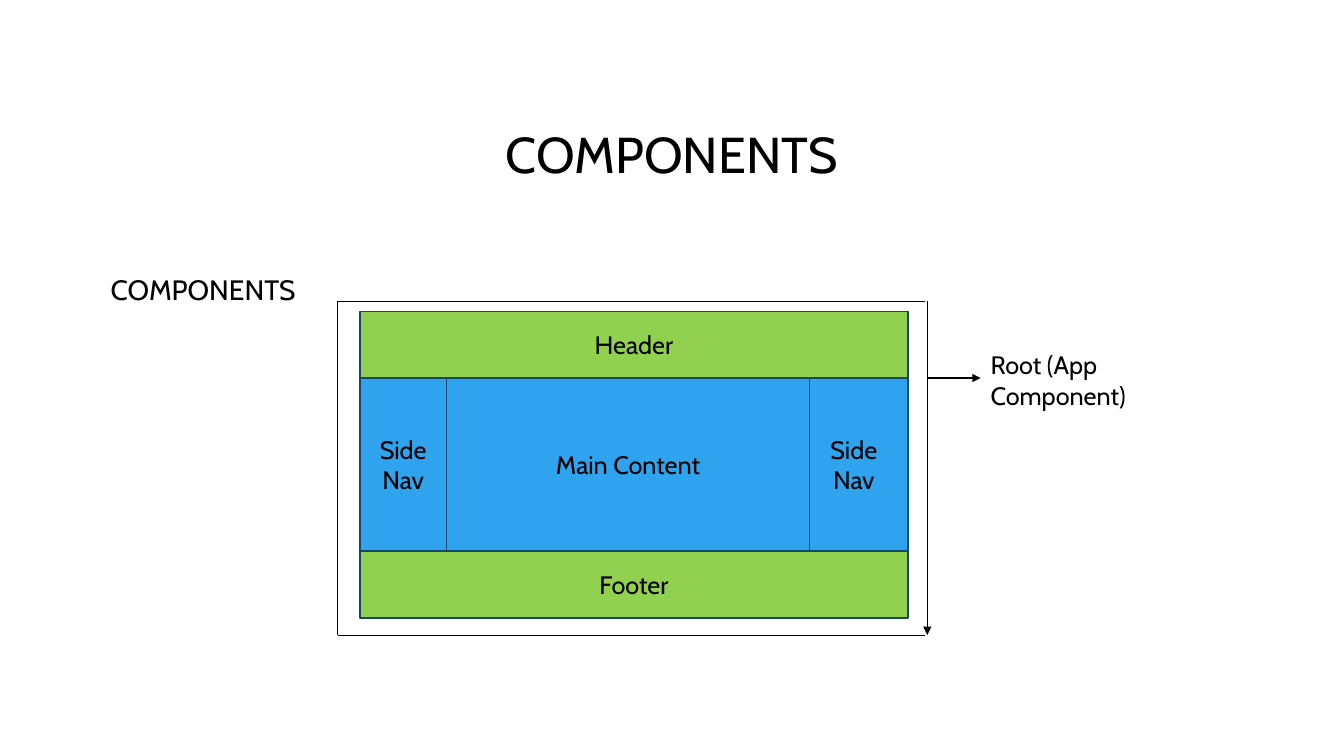
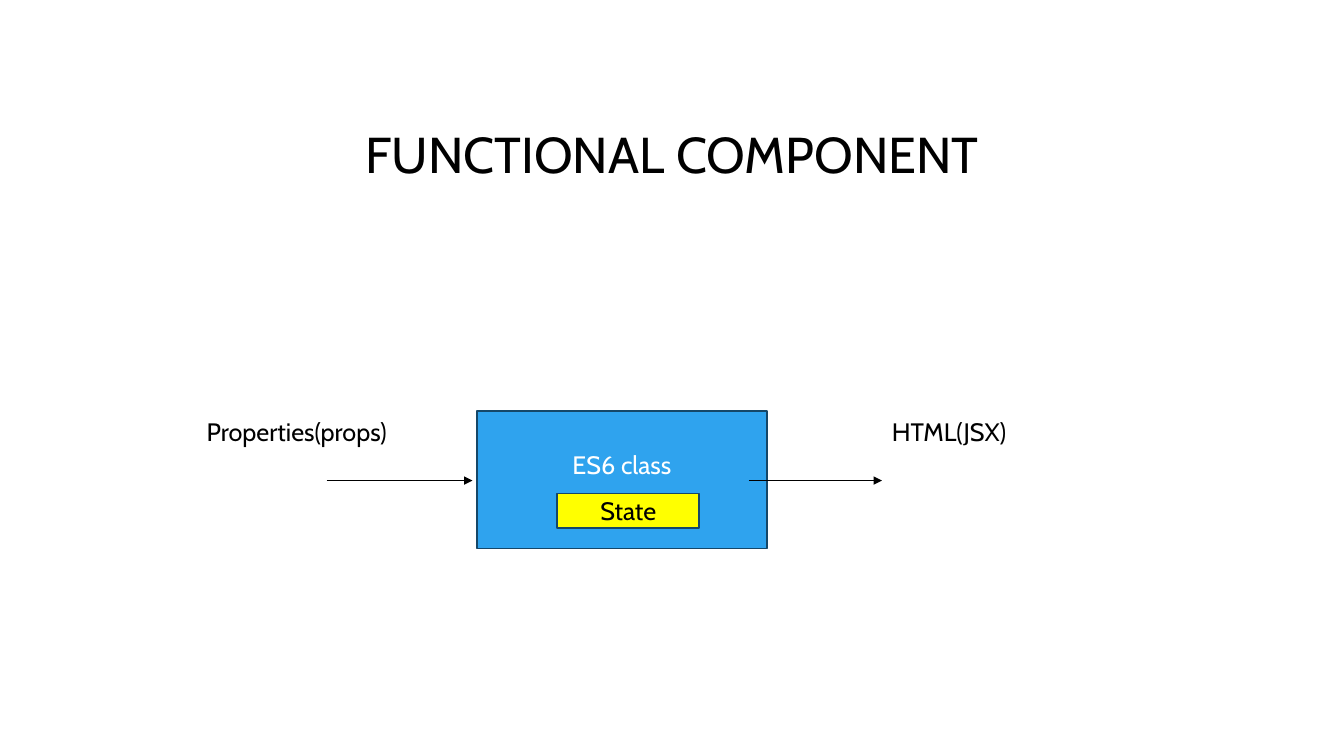
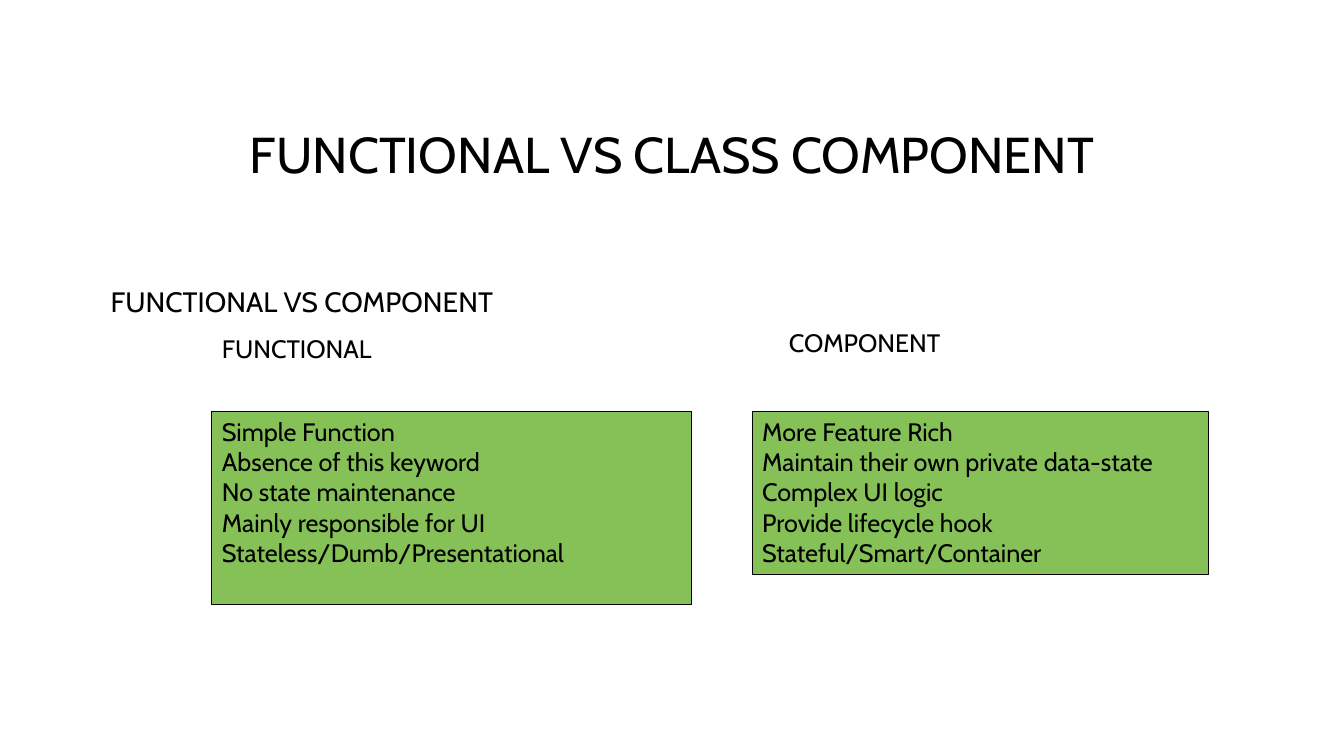
import dataclasses
import typing

import lxml.etree
import pptx
import pptx.dml.color
import pptx.enum.shapes
import pptx.enum.text
import pptx.oxml.ns
import pptx.util

Pt = pptx.util.Pt
ALIGN = pptx.enum.text.PP_ALIGN
ANCHOR = pptx.enum.text.MSO_ANCHOR


@dataclasses.dataclass(frozen=True)
class Theme:
    font: str = "Cabin"
    title_size: float = 36
    body_size: float = 20
    label_size: float = 18
    black: str = "000000"
    white: str = "FFFFFF"
    blue: str = "2FA3EE"
    lime: str = "92D050"
    green: str = "86C157"
    yellow: str = "FFFF00"
    border: str = "154768"
    border_width: float = 1.25
    thin_width: float = 0.75


THEME = Theme()


@dataclasses.dataclass(frozen=True)
class TextStyle:
    size: float
    paragraph: dict[str, typing.Any]
    frame: dict[str, typing.Any]
    color: str = THEME.black


TITLE = TextStyle(
    THEME.title_size,
    {"alignment": ALIGN.CENTER, "line_spacing": 0.9},
    {"vertical_anchor": ANCHOR.MIDDLE},
)
BODY = TextStyle(
    THEME.body_size,
    {"alignment": ALIGN.LEFT, "line_spacing": 1.2, "space_before": Pt(10)},
    {"vertical_anchor": ANCHOR.TOP},
)
LABEL = TextStyle(THEME.label_size, {"alignment": ALIGN.LEFT}, {"vertical_anchor": ANCHOR.TOP})
CENTERED = TextStyle(
    THEME.label_size, {"alignment": ALIGN.CENTER}, {"vertical_anchor": ANCHOR.MIDDLE}
)
# Leaves the lower part of the class box free for the state box.
RAISED = dataclasses.replace(
    CENTERED, color=THEME.white, frame=CENTERED.frame | {"margin_bottom": Pt(25.2)}
)


@dataclasses.dataclass(frozen=True)
class Box:
    """A text block; it becomes a rectangle when it has a fill."""

    text: str
    left: float
    top: float
    width: float
    height: float
    style: TextStyle = LABEL
    fill: str | None = None
    border: str = THEME.border
    border_width: float = THEME.border_width


@dataclasses.dataclass(frozen=True)
class Line:
    x1: float
    y1: float
    x2: float
    y2: float
    arrow: bool = False


def rgb(value: str) -> pptx.dml.color.RGBColor:
    return pptx.dml.color.RGBColor.from_string(value)


def apply(target: typing.Any, values: dict[str, typing.Any]) -> None:
    for name, value in values.items():
        setattr(target, name, value)


def write_text(frame: typing.Any, text: str, style: TextStyle) -> None:
    apply(frame, {"word_wrap": True} | style.frame)
    frame.text = text
    for paragraph in frame.paragraphs:
        apply(paragraph, style.paragraph)
        for run in paragraph.runs:
            apply(run.font, {"name": THEME.font, "size": Pt(style.size)})
            run.font.color.rgb = rgb(style.color)


def draw_box(slide: typing.Any, box: Box) -> None:
    area = [Pt(length) for length in (box.left, box.top, box.width, box.height)]
    if box.fill is None:
        block = slide.shapes.add_textbox(*area)
    else:
        block = slide.shapes.add_shape(pptx.enum.shapes.MSO_SHAPE.RECTANGLE, *area)
        block.shadow.inherit = False
        block.fill.solid()
        block.fill.fore_color.rgb = rgb(box.fill)
        block.line.color.rgb = rgb(box.border)
        block.line.width = Pt(box.border_width)
    write_text(block.text_frame, box.text, box.style)


def draw_line(slide: typing.Any, line: Line) -> None:
    connector = slide.shapes.add_connector(
        pptx.enum.shapes.MSO_CONNECTOR.STRAIGHT,
        *(Pt(length) for length in (line.x1, line.y1, line.x2, line.y2)),
    )
    connector.line.color.rgb = rgb(THEME.black)
    connector.line.width = Pt(THEME.thin_width)
    qn = pptx.oxml.ns.qn
    properties = connector._element.spPr
    if line.arrow:
        lxml.etree.SubElement(properties.find(qn("a:ln")), qn("a:tailEnd"), type="triangle")
    lxml.etree.SubElement(properties, qn("a:effectLst"))


def add_slide(deck: typing.Any, title: str, items: list[Box | Line]) -> None:
    slide = deck.slides.add_slide(deck.slide_layouts[6])
    for item in [Box(title, 72, 49, 816, 126, TITLE), *items]:
        if isinstance(item, Line):
            draw_line(slide, item)
        else:
            draw_box(slide, item)


def page_layout() -> list[Box | Line]:
    left, width = 257, 391.7
    header_top, middle_top, footer_top, bottom = 222.5, 270, 393.8, 441.3
    main_left, main_width = 319, 259.2
    right_nav = 571
    frame_left, frame_top, frame_right, frame_bottom = 241.2, 215.3, 661, 453.6
    root_x = 662.4

    bands = [
        Box(text, left, top, width, bottom - footer_top, CENTERED, THEME.lime)
        for text, top in (("Header", header_top), ("Footer", footer_top))
    ]
    columns = [
        Box(text, x, middle_top, column_width, footer_top - middle_top, CENTERED, THEME.blue)
        for text, x, column_width in (
            ("Side Nav", left, main_left - left),
            ("Side Nav", right_nav, left + width - right_nav),
            ("Main Content", main_left, main_width),
        )
    ]
    return [
        Box("COMPONENTS", 72, 186.5, 816, 304.5, BODY),
        *bands,
        *columns,
        Line(frame_left, frame_top, frame_left, frame_bottom),
        Line(frame_left, frame_bottom, frame_right, frame_bottom),
        Line(root_x, frame_top, root_x, frame_bottom, arrow=True),
        Line(frame_left, frame_top, frame_right, frame_top),
        Line(root_x, middle_top, 700.5, middle_top, arrow=True),
        Box("Root (App Component)", 700.5, 246.2, 171.4, 51),
    ]


def props_to_html() -> list[Box | Line]:
    top, arrow_y = 293.8, 343.3
    return [
        Box("ES6 class", 340.6, top, 207.2, 98, RAISED, THEME.blue),
        Line(233.3, arrow_y, 337.5, arrow_y, arrow=True),
        Box("Properties(props)", 140.5, top, 145, 29),
        Line(535, arrow_y, 630, arrow_y, arrow=True),
        Box("HTML(JSX)", 630, top, 157, 29),
        Box("State", 398, 352.5, 101.5, 24.5, CENTERED, THEME.yellow),
    ]


def comparison() -> list[Box | Line]:
    def traits(lines: list[str], left: float, width: float, height: float) -> Box:
        return Box(
            "\n".join(lines), left, 293.8, width, height, LABEL,
            THEME.green, THEME.black, THEME.thin_width,
        )

    functional = [
        "Simple Function",
        "Absence of this keyword",
        "No state maintenance",
        "Mainly responsible for UI",
        "Stateless/Dumb/Presentational",
    ]
    component = [
        "More Feature Rich",
        "Maintain their own private data-state",
        "Complex UI logic",
        "Provide lifecycle hook",
        "Stateful/Smart/Container",
    ]
    return [
        Box("FUNCTIONAL VS COMPONENT", 72, 195, 816, 296.5, BODY),
        traits(functional, 151.4, 342.5, 138),
        Box("FUNCTIONAL", 151.4, 234.5, 337, 29),
        traits(component, 537.3, 326, 116.5),
        Box("COMPONENT", 556.5, 230, 207.5, 29),
    ]


def main() -> None:
    deck = pptx.Presentation()
    apply(deck, {"slide_width": Pt(960), "slide_height": Pt(540)})
    add_slide(deck, "COMPONENTS", page_layout())
    add_slide(deck, "FUNCTIONAL COMPONENT", props_to_html())
    add_slide(deck, "FUNCTIONAL VS CLASS COMPONENT", comparison())
    deck.save("out.pptx")


if __name__ == "__main__":
    main()
